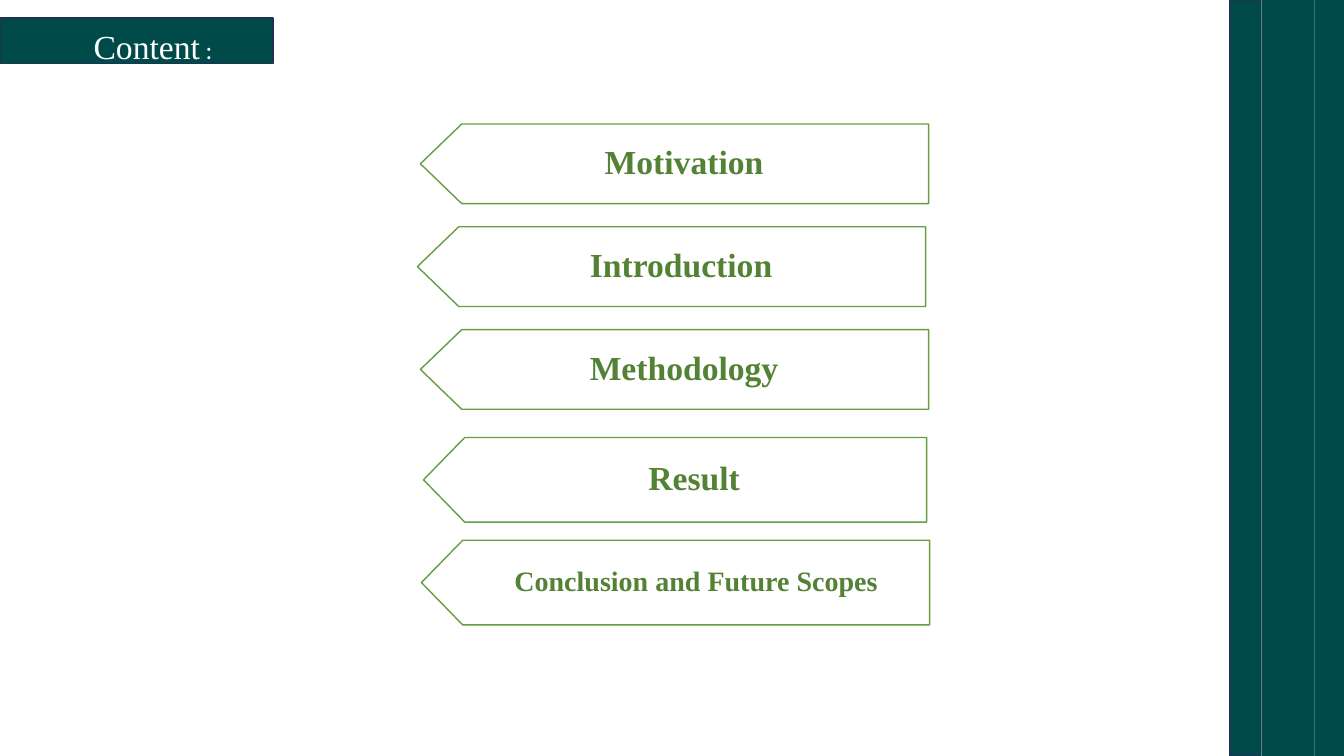
from pptx import Presentation
from pptx.dml.color import RGBColor
from pptx.enum.dml import MSO_PATTERN
from pptx.enum.shapes import MSO_SHAPE
from pptx.enum.text import MSO_ANCHOR, MSO_AUTO_SIZE, PP_ALIGN
from pptx.util import Inches, Pt

TEAL, NAVY, WHITE = "004B49", "1E3256", "FFFFFF"
LEAF, GREEN = "669D40", "548235"
SERIF, SANS = "Times New Roman", "Calibri"

# label, (left, top, width, height), size, (left, top, right, bottom) insets
TOPICS = [
    ("Motivation", (4.17, 1.23, 5.04, 0.79), 24, (0.38, 0.1, 0.19, 0.1)),
    ("Introduction", (4.14, 2.25, 5.04, 0.79), 24, (0.38, 0.1, 0.19, 0.1)),
    ("Methodology", (4.17, 3.27, 5.04, 0.79), 24, (0.38, 0.1, 0.19, 0.1)),
    ("Result", (4.2, 4.34, 4.99, 0.84), 24, (0.57, 0.1, 0.19, 0.1)),
    ("Conclusion and Future Scopes", (4.18, 5.36, 5.04, 0.84), 20,
     (0.57, 0.08, 0.16, 0.08)),
]


def color(hex_code):
    return RGBColor.from_string(hex_code)


def paint(shape, fill, line=None):
    shape.shadow.inherit = False
    shape.fill.solid()
    shape.fill.fore_color.rgb = color(fill)
    if line:
        shape.line.color.rgb = color(line)
        shape.line.width = Pt(1)
    else:
        shape.line.fill.background()


def add_bar(slide, box, line=None):
    bar = slide.shapes.add_shape(MSO_SHAPE.RECTANGLE, *map(Inches, box))
    paint(bar, TEAL, line)
    return bar


def add_run(paragraph, text, font_color, **font_format):
    run = paragraph.add_run()
    run.text = text
    run.font.color.rgb = color(font_color)
    for key, value in font_format.items():
        setattr(run.font, key, value)


def add_heading(slide, left, top, width, height):
    add_bar(slide, (left, top, width, height), NAVY)
    heading = slide.shapes.add_textbox(
        Inches(left + 0.83), Inches(top + 0.03), Inches(1.77), Inches(0.5))
    frame = heading.text_frame
    frame.word_wrap = True
    frame.auto_size = MSO_AUTO_SIZE.SHAPE_TO_FIT_TEXT
    paragraph = frame.paragraphs[0]
    add_run(paragraph, "Content", WHITE, name=SERIF, size=Pt(24))
    add_run(paragraph, " :", WHITE, name=SANS, size=Pt(18))


def add_side_band(slide, left, top, height):
    strip_width = 0.3
    for offset in (0.84, 0.54, 0.31):
        add_bar(slide, (left + offset, top, strip_width, height))
    # Striped inner edge
    edge = add_bar(slide, (left, top, strip_width, height), NAVY)
    edge.fill.patterned()
    edge.fill.pattern = MSO_PATTERN.DARK_VERTICAL
    edge.fill.fore_color.rgb = color(TEAL)
    edge.fill.back_color.rgb = color(WHITE)


def add_topic(slide, label, box, size, insets):
    left, top, width, height = box
    right, bottom, shoulder = left + width, top + height, left + 0.41
    # Tag outline pointing left
    outline = [(shoulder, bottom), (left, top + height / 2),
               (shoulder, top), (right, top)]
    builder = slide.shapes.build_freeform(
        Inches(right), Inches(bottom), scale=1.0)
    builder.add_line_segments(
        [(Inches(x), Inches(y)) for x, y in outline], close=True)
    tag = builder.convert_to_shape()
    paint(tag, WHITE, LEAF)
    # Label
    frame = tag.text_frame
    frame.word_wrap = True
    frame.vertical_anchor = MSO_ANCHOR.MIDDLE
    for side, inset in zip(("left", "top", "right", "bottom"), insets):
        setattr(frame, f"margin_{side}", Inches(inset))
    paragraph = frame.paragraphs[0]
    paragraph.alignment = PP_ALIGN.CENTER
    paragraph.line_spacing = 0.9
    add_run(paragraph, label, GREEN, name=SERIF, size=Pt(size), bold=True)


def main():
    deck = Presentation()
    deck.slide_width, deck.slide_height = Inches(13.33), Inches(7.5)
    slide = deck.slides.add_slide(deck.slide_layouts[6])
    add_side_band(slide, 12.2, 0, 7.5)
    add_heading(slide, 0, 0.18, 2.71, 0.45)
    for topic in TOPICS:
        add_topic(slide, *topic)
    deck.save("out.pptx")


if __name__ == "__main__":
    main()
